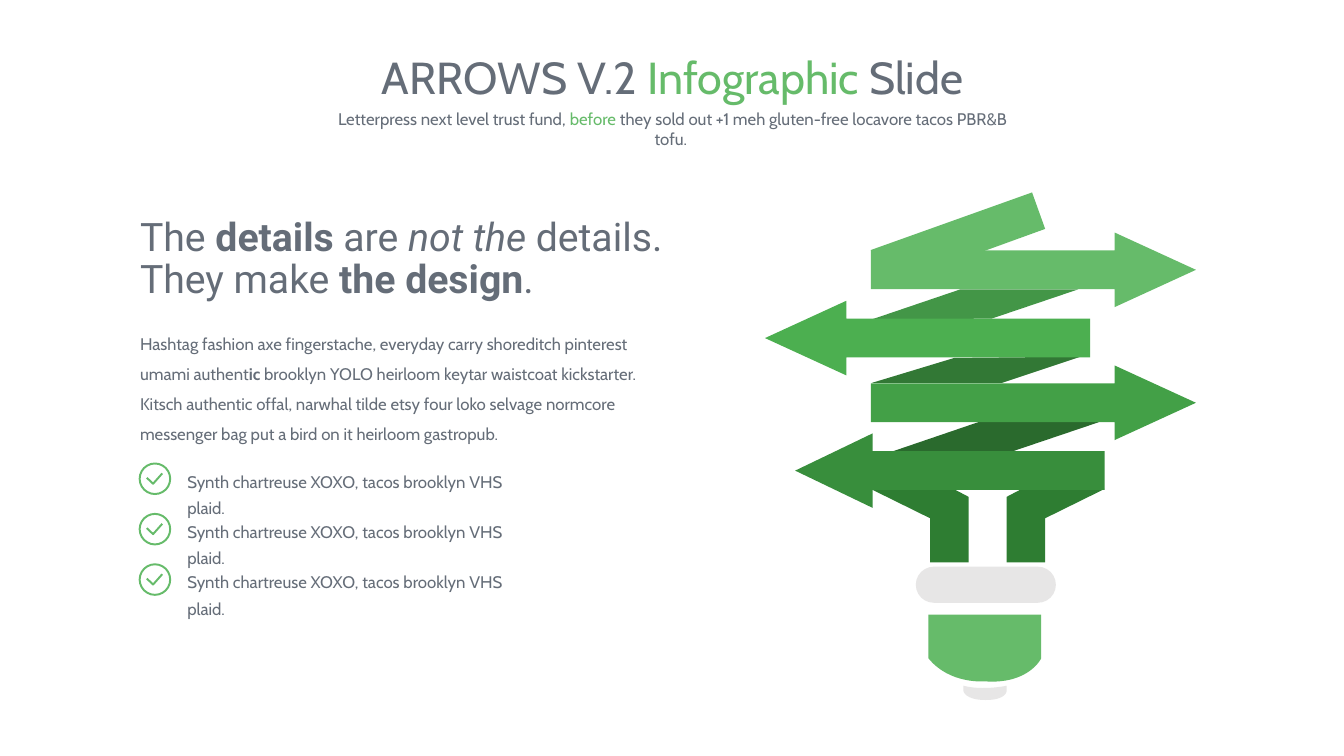
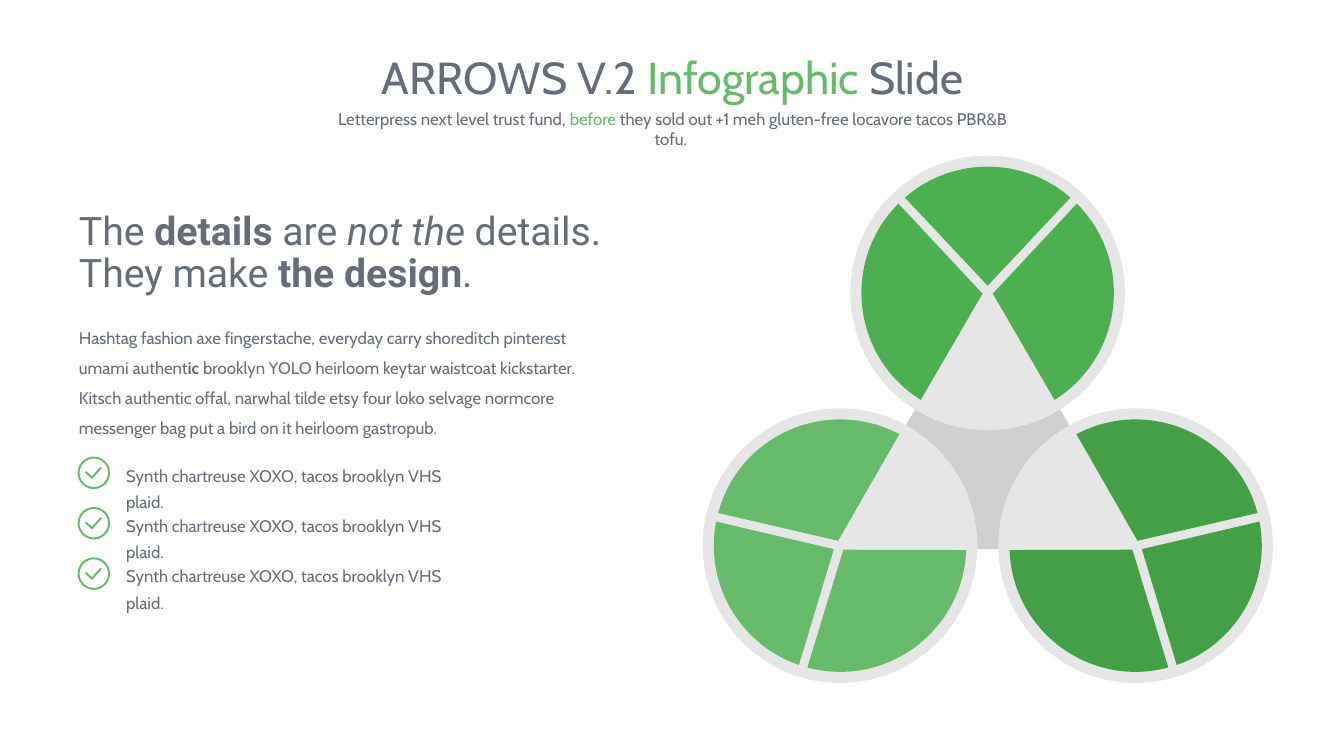
from math import cos, radians, sin, tan

from lxml.etree import SubElement
from pptx import Presentation
from pptx.dml.color import RGBColor
from pptx.enum.shapes import MSO_SHAPE as Form
from pptx.enum.text import PP_ALIGN as Align
from pptx.oxml.ns import qn
from pptx.util import Cm, Pt

GREY = RGBColor(0x65, 0x6D, 0x78)
WHITE = RGBColor(0xFF, 0xFF, 0xFF)
SILVER = RGBColor(0xE7, 0xE6, 0xE6)
STONE = RGBColor(0xD0, 0xCE, 0xCE)
LIME = RGBColor(0x66, 0xBB, 0x6A)
GREEN = RGBColor(0x4C, 0xAF, 0x50)
GRASS = RGBColor(0x43, 0xA0, 0x47)
LEAF = RGBColor(0x38, 0x8E, 0x3C)
PINE = RGBColor(0x2E, 0x7D, 0x32)
FERN = RGBColor(0x43, 0x96, 0x47)
MOSS = RGBColor(0x32, 0x78, 0x35)
DARK = RGBColor(0x2A, 0x6A, 0x2D)

HEAD = {"name": "Cabin", "size": Pt(32)}
TEXT = {"name": "Cabin", "size": Pt(12)}
LARGE = {"name": "Roboto", "size": Pt(28)}
BOLD = {"bold": True}
SLANT = {"italic": True}
MID = {"alignment": Align.CENTER}

TITLE = [("ARROWS V.2 ", GREY, {}), ("Infographic ", LIME, {}), ("Slide", GREY, {})]
LEAD = [
    ("Letterpress next level trust fund, ", GREY, {}),
    ("before", LIME, {}),
    (" they sold out +1 meh gluten-free locavore tacos PBR&B tofu. ", GREY, {}),
]
QUOTE = [
    ("The ", GREY, {}),
    ("details", GREY, BOLD),
    (" are ", GREY, {}),
    ("not the ", GREY, SLANT),
    ("details. They make ", GREY, {}),
    ("the design", GREY, BOLD),
    (".", GREY, {}),
]
BODY = [
    ("Hashtag fashion axe fingerstache, everyday carry shoreditch pinterest "
     "umami authent", GREY, {}),
    ("ic ", GREY, BOLD),
    ("brooklyn YOLO heirloom keytar waistcoat kickstarter. Kitsch authentic "
     "offal, narwhal tilde etsy four loko selvage normcore messenger bag put "
     "a bird on it heirloom gastropub.", GREY, {}),
]
ITEMS = ["Synth chartreuse XOXO, tacos brooklyn VHS plaid."] * 3
TICK = [(0.18, 0.36), (0.34, 0.51), (0.57, 0.25)]
STEP = 1.27

AXIS = 24.89
FOLDS = [
    (LIME, [(26.01, 4.85), (26.34, 5.77), (24.82, 6.32), (21.95, 6.32), (21.95, 6.3)]),
    (FERN, [(27.18, 7.29), (24.99, 8.03), (21.97, 8.05), (24.21, 7.29)]),
    (MOSS, [(27.23, 8.99), (25.25, 9.65), (21.97, 9.65), (24.05, 9.02)]),
    (DARK, [(22.48, 11.38), (24.71, 10.62), (27.69, 10.64), (25.5, 11.38)]),
]
LEG = [(27.84, 12.32), (26.34, 13.06), (26.34, 14.17),
       (25.37, 14.17), (25.37, 12.52), (25.81, 12.29)]
ARROWS = [
    (Form.RIGHT_ARROW, 21.95, 5.86, 8.19, 1.09, LIME),
    (Form.LEFT_ARROW, 19.28, 7.58, 8.19, 1.09, GREEN),
    (Form.RIGHT_ARROW, 21.95, 9.21, 8.19, 1.09, GRASS),
    (Form.LEFT_ARROW, 20.04, 10.92, 7.8, 1.04, LEAF),
]
CAP = [(26.24, 15.49), (26.24, 16.59),
       (26.24, 16.59, 25.93, 17.25, 24.82, 17.17),
       (24.82, 17.17, 23.93, 17.25, 23.4, 16.59), (23.4, 15.49)]
TIP = [(25.37, 17.28), (25.37, 17.41),
       (25.37, 17.41, 25.37, 17.64, 24.84, 17.64),
       (24.31, 17.64, 24.28, 17.41, 24.28, 17.41), (24.28, 17.28),
       (24.77, 17.41, 25.37, 17.28, 25.37, 17.28)]

DISCS = [
    (AXIS, 7.38, 0, GREEN),
    (21.17, 13.75, -120, LIME),
    (28.62, 13.75, 120, GRASS),
]
RIM, RADIUS = 3.46, 3.18
WEDGES = [
    ((0.13, 0.02), -45, 58),
    ((-0.13, 0.02), 122, 225),
    ((0, -0.18), -131, -49),
]


def paint(shape, fill, line=None):
    shape.shadow.inherit = False
    shape.fill.solid()
    shape.fill.fore_color.rgb = fill
    if line is None:
        shape.line.fill.background()
    else:
        shape.line.color.rgb = line
        shape.line.width = Pt(1.38)


def preset(slide, form, box, fill, line=None, adjust=()):
    shape = slide.shapes.add_shape(form, *map(Cm, box))
    for i, value in enumerate(adjust):
        shape.adjustments[i] = value
    paint(shape, fill, line)


def outline(slide, points, fill, line=None, close=True):
    pairs = [p[i:i + 2] for p in points for i in range(0, len(p), 2)]
    spots = [(Cm(x), Cm(y)) for x, y in pairs]
    pen = slide.shapes.build_freeform(*spots[0])
    pen.add_line_segments(spots[1:], close=close)
    shape = pen.convert_to_shape()
    track = next(shape.element.iter(qn("a:path")))
    legs = iter(track.findall(qn("a:lnTo")))
    for point in points[1:]:
        leg = next(legs)
        if len(point) == 6:
            bend = SubElement(track, qn("a:cubicBezTo"))
            leg.addprevious(bend)
            for part in (leg, next(legs), next(legs)):
                bend.append(part[0])
                track.remove(part)
    paint(shape, fill, line)


def write(slide, box, runs, style, layout):
    frame = slide.shapes.add_textbox(*map(Cm, box)).text_frame
    frame.word_wrap = True
    para = frame.paragraphs[0]
    for key, value in layout.items():
        setattr(para, key, value)
    for text, color, extra in runs:
        run = para.add_run()
        run.text = text
        for key, value in {**style, **extra}.items():
            setattr(run.font, key, value)
        run.font.color.rgb = color


def header(slide):
    write(slide, (6.46, 1.14, 20.98, 1.63), TITLE, HEAD, MID)
    write(slide, (8.13, 2.62, 17.65, 0.76), LEAD, TEXT, MID)


def panel(slide, left, top):
    write(slide, (left, top, 13.87, 2.41), QUOTE, LARGE, {"line_spacing": 0.9})
    write(slide, (left, top + 2.67, 13.51, 3.33), BODY, TEXT, {"line_spacing": 1.5})
    for i, item in enumerate(ITEMS):
        x, y = left + 0.24, top + 6.33 + i * STEP
        preset(slide, Form.OVAL, (x, y, 0.77, 0.77), WHITE, LIME)
        outline(slide, [(x + a, y + b) for a, b in TICK], WHITE, LIME, False)
        write(slide, (x + 0.95, y - 0.08, 9.02, 0.86), [(item, GREY, {})],
              TEXT, {"line_spacing": 1.3})


def bulb(slide):
    for color, points in FOLDS:
        outline(slide, points, color)
    for points in (LEG, [(2 * AXIS - x, y) for x, y in LEG]):
        outline(slide, points, PINE)
    for form, left, top, width, tip, color in ARROWS:
        preset(slide, form, (left, top, width, 1.88), color, adjust=(0.52, tip))
    preset(slide, Form.ROUNDED_RECTANGLE, (23.08, 14.28, 3.53, 0.91), SILVER,
           adjust=(0.5,))
    outline(slide, CAP, LIME)
    outline(slide, TIP, SILVER)


def turn(x, y, angle):
    c, s = cos(radians(angle)), sin(radians(angle))
    return x * c - y * s, x * s + y * c


def wedge(x, y, angle, apex, start, end):
    pull = RADIUS * 4 / 3 * tan(radians(end - start) / 4)
    spots = [turn(*apex, 0), turn(RADIUS, 0, start), turn(RADIUS, pull, start),
             turn(RADIUS, -pull, end), turn(RADIUS, 0, end)]
    tip, first, *bend = [(x + a, y + b)
                         for a, b in (turn(*spot, angle) for spot in spots)]
    return [first, sum(bend, ()), tip]


def wheels(slide):
    preset(slide, Form.ISOSCELES_TRIANGLE, (21.01, 7.19, 7.76, 6.65), STONE)
    for x, y, _, _ in DISCS:
        preset(slide, Form.OVAL, (x - RIM, y - RIM, 2 * RIM, 2 * RIM), SILVER)
    for x, y, angle, color in DISCS:
        for apex, start, end in WEDGES:
            outline(slide, wedge(x, y, angle, apex, start, end), color)


def main():
    deck = Presentation()
    deck.slide_width, deck.slide_height = Cm(33.87), Cm(19.05)
    for draw, left, top in ((bulb, 3.28, 5.35), (wheels, 1.74, 5.2)):
        slide = deck.slides.add_slide(deck.slide_layouts[6])
        header(slide)
        draw(slide)
        panel(slide, left, top)
    deck.save("out.pptx")


if __name__ == "__main__":
    main()
